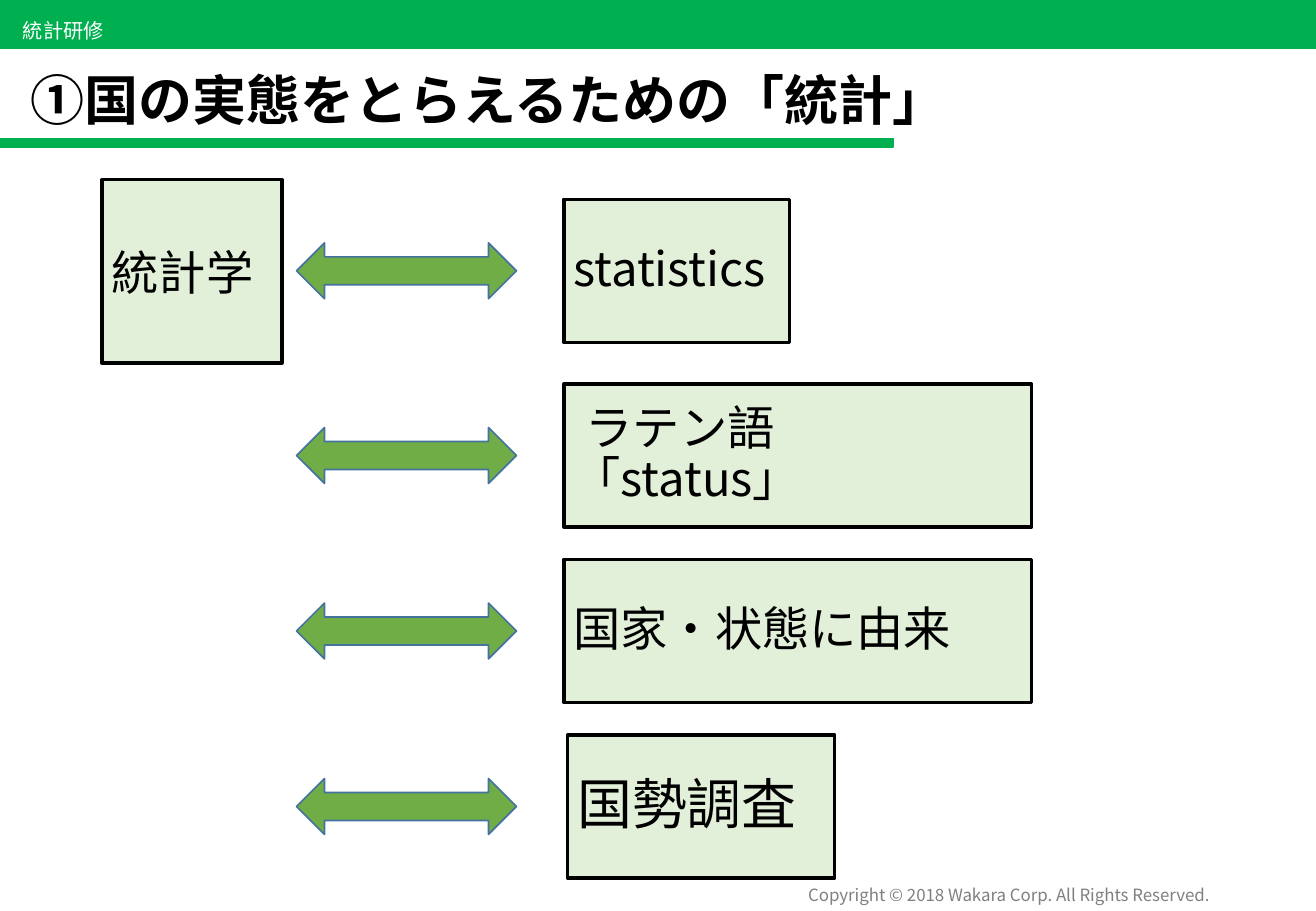
import pptx
import pptx.dml.color
import pptx.enum.shapes
import pptx.enum.text
import pptx.oxml.ns
import pptx.util
from dataclasses import dataclass
from lxml import etree

ANCHOR = pptx.enum.text.MSO_ANCHOR
ALIGN = pptx.enum.text.PP_ALIGN
SHAPE = pptx.enum.shapes.MSO_SHAPE


@dataclass(frozen=True)
class Theme:
    font: str = "Noto Sans CJK JP"
    brand: str = "00B050"
    box_fill: str = "E2F0D9"
    arrow_fill: str = "70AD47"
    arrow_line: str = "43739E"
    ink: str = "000000"
    white: str = "FFFFFF"
    muted: str = "808080"
    copyright_size: float = 10
    header_size: float = 12
    body_size: float = 28
    census_size: float = 32.5
    title_size: float = 32


class SlideBuilder:
    """Places elements on a grid of square cells, ten to the inch."""

    COLUMNS, ROWS = 108.3, 75

    def __init__(self, theme):
        self.theme = theme
        self.presentation = pptx.Presentation()
        self.presentation.slide_width = self.cells(self.COLUMNS)
        self.presentation.slide_height = self.cells(self.ROWS)
        self.slide = self.presentation.slides.add_slide(self.presentation.slide_layouts[6])

    def cells(self, count):
        return pptx.util.Inches(count / 10)

    def color(self, value):
        return pptx.dml.color.RGBColor.from_string(value)

    def shape(self, kind, area, fill, line, line_width=1):
        shape = self.slide.shapes.add_shape(kind, *map(self.cells, area))
        shape.shadow.inherit = False
        shape.fill.solid()
        shape.fill.fore_color.rgb = self.color(fill)
        shape.line.color.rgb = self.color(line)
        shape.line.width = pptx.util.Pt(line_width)
        return shape

    def set_text(self, shape, text, size, color, bold=False, align=ALIGN.LEFT,
                 anchor=ANCHOR.MIDDLE, spacing=1.0, wrap=True, indent=0):
        frame = shape.text_frame
        frame.text = text
        frame.word_wrap = wrap
        frame.vertical_anchor = anchor
        paragraph = frame.paragraphs[0]
        paragraph.alignment = align
        paragraph.line_spacing = spacing
        if indent:
            paragraph._p.get_or_add_pPr().set("indent", str(self.cells(indent)))
        for run in paragraph.runs:
            run.font.size = pptx.util.Pt(size)
            run.font.bold = bold
            run.font.color.rgb = self.color(color)
            run.font.name = self.theme.font
            # East Asian glyphs take their own typeface element
            east_asian = etree.SubElement(run._r.rPr, pptx.oxml.ns.qn("a:ea"))
            east_asian.set("typeface", self.theme.font)

    def bar(self, area):
        self.shape(SHAPE.RECTANGLE, area, self.theme.brand, self.theme.brand)

    def label(self, text, area, size, color, **style):
        box = self.slide.shapes.add_textbox(*map(self.cells, area))
        self.set_text(box, text, size, color, **style)

    def box(self, text, area, size, spacing=0.9, indent=0):
        box = self.shape(SHAPE.RECTANGLE, area, self.theme.box_fill, self.theme.ink, 2)
        frame = box.text_frame
        frame.margin_left = frame.margin_right = self.cells(0.8)
        frame.margin_top = frame.margin_bottom = self.cells(0.4)
        self.set_text(box, text, size, self.theme.ink, spacing=spacing, indent=indent)

    def arrow(self, area):
        self.shape(SHAPE.LEFT_RIGHT_ARROW, area, self.theme.arrow_fill, self.theme.arrow_line)


def main():
    theme = Theme()
    builder = SlideBuilder(theme)

    # Header band, title and its rule
    builder.bar((0, 0, builder.COLUMNS, 4))
    builder.bar((0, 11.4, 73.5, 0.7))
    builder.label("統計研修", (0.9, 1, 8.8, 3), theme.header_size, theme.white, wrap=False)
    builder.label("①国の実態をとらえるための「統計」", (1.5, 4, 103.6, 7.4), theme.title_size,
                  theme.ink, bold=True, anchor=ANCHOR.BOTTOM, spacing=0.9)

    # Starting term
    builder.box("統計学", (8.4, 14.8, 14.8, 15.1), theme.body_size, spacing=1.0)

    # One arrow and one box per row: text, centre, left, width, size, indent
    box_height, arrow_height = 11.8, 4.6
    second_row, pitch = 37.5, 14.45
    rows = [
        ("statistics", 22.3, 46.4, 18.6, theme.body_size, 0),
        ("ラテン語\v「status」", second_row, 46.4, 38.5, theme.body_size, 1),
        ("国家•状態に由来", second_row + pitch, 46.4, 38.5, theme.body_size, 0),
        ("国勢調査", second_row + 2 * pitch, 46.7, 22, theme.census_size, 0),
    ]
    for text, centre, left, width, size, indent in rows:
        builder.box(text, (left, centre - box_height / 2, width, box_height), size, indent=indent)
        builder.arrow((24.4, centre - arrow_height / 2, 18.1, arrow_height))

    # Footer
    builder.label("Copyright © 2018 Wakara Corp. All Rights Reserved.", (62.1, 72.3, 38.4, 2.7),
                  theme.copyright_size, theme.muted, align=ALIGN.RIGHT, wrap=False)

    builder.presentation.save("out.pptx")


if __name__ == "__main__":
    main()
